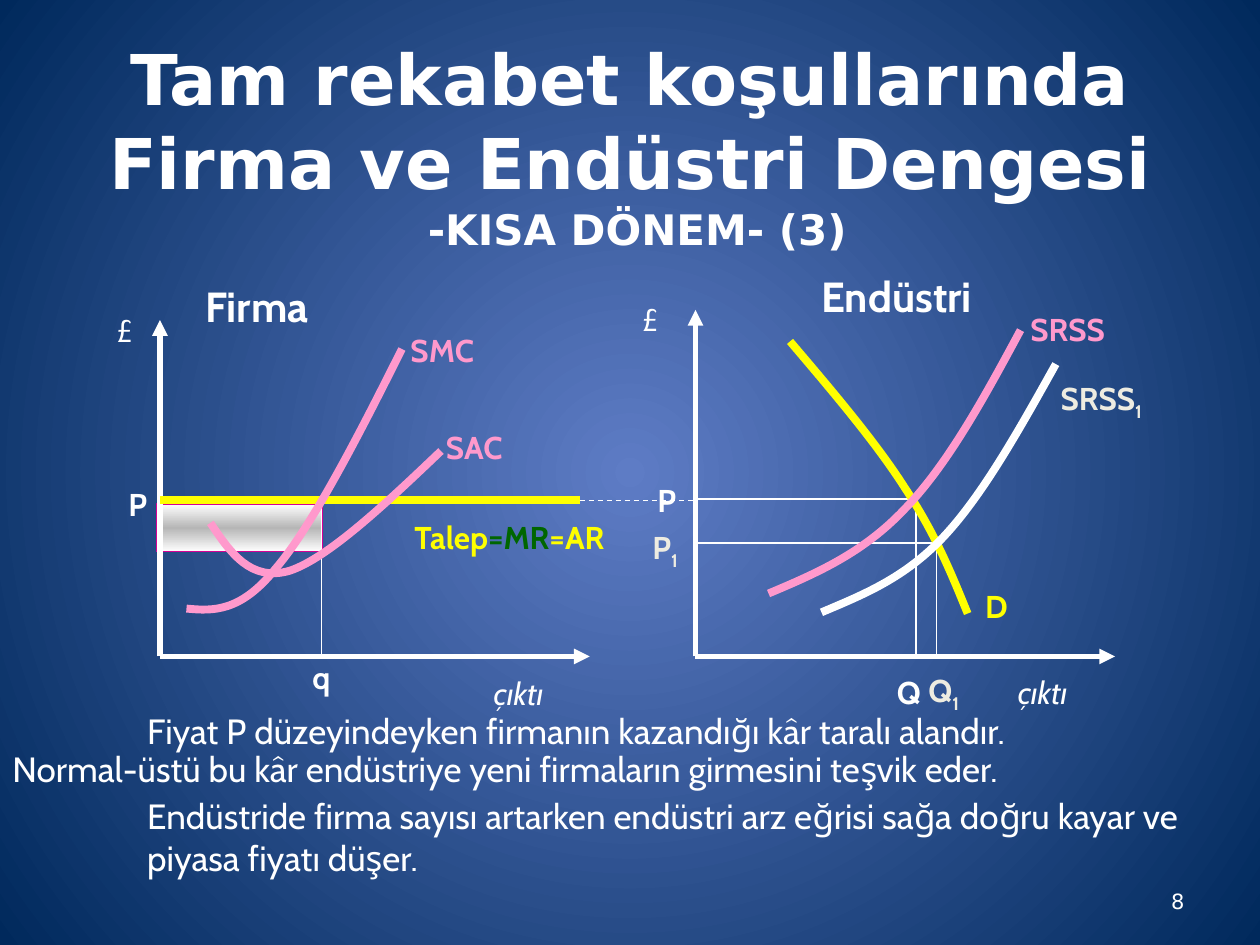
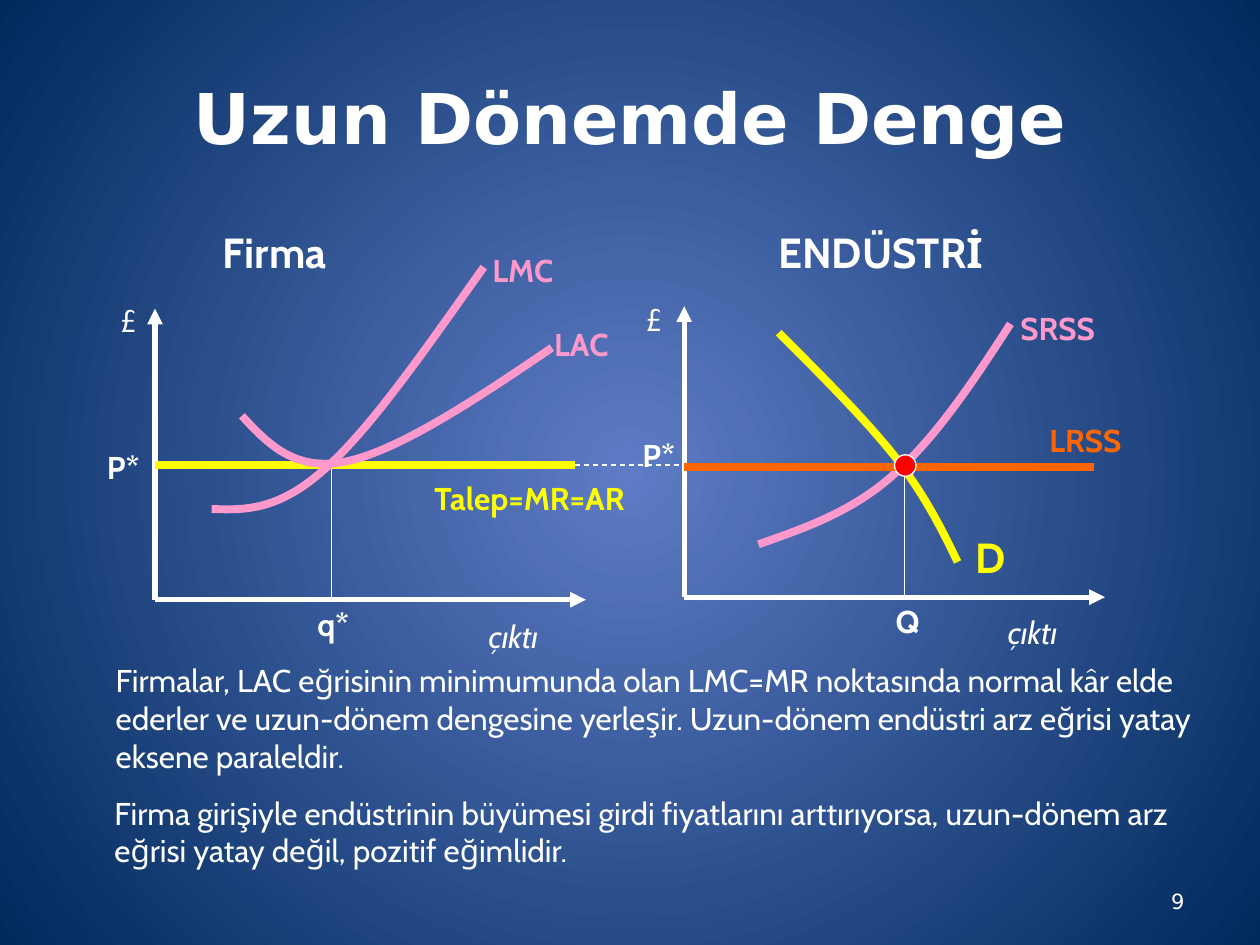
"""Build two slides on short-run and long-run equilibrium of firm and industry."""
from copy import deepcopy
from dataclasses import dataclass
from typing import Any, NamedTuple

from lxml import etree
from pptx import Presentation
from pptx.dml.color import RGBColor
from pptx.enum.dml import MSO_LINE
from pptx.enum.shapes import MSO_CONNECTOR, MSO_SHAPE
from pptx.enum.text import MSO_ANCHOR, MSO_AUTO_SIZE, PP_ALIGN
from pptx.oxml.ns import qn
from pptx.util import Inches, Pt

WHITE = RGBColor(0xFF, 0xFF, 0xFF)
CREAM = RGBColor(0xEE, 0xEC, 0xE1)
PINK = RGBColor(0xFF, 0x99, 0xCC)
YELLOW = RGBColor(0xFF, 0xFF, 0x00)
GREEN = RGBColor(0x00, 0x66, 0x00)
ORANGE = RGBColor(0xFF, 0x66, 0x00)
RED = RGBColor(0xFF, 0x00, 0x00)
MAGENTA = RGBColor(0xD6, 0x00, 0x93)
GREY = RGBColor(0xB6, 0xB6, 0xB6)
GLOW_BLUE = RGBColor(0x5E, 0x7C, 0xC5)
NIGHT_BLUE = RGBColor(0x00, 0x29, 0x5C)

STRAIGHT = MSO_CONNECTOR.STRAIGHT
RECTANGLE, OVAL = MSO_SHAPE.RECTANGLE, MSO_SHAPE.OVAL
DASH = MSO_LINE.DASH
TOP, MIDDLE = MSO_ANCHOR.TOP, MSO_ANCHOR.MIDDLE
LEFT, CENTER, RIGHT = PP_ALIGN.LEFT, PP_ALIGN.CENTER, PP_ALIGN.RIGHT
GROW, FIXED = MSO_AUTO_SIZE.SHAPE_TO_FIT_TEXT, MSO_AUTO_SIZE.NONE

BODY_FONT, TITLE_FONT = "Cabin", "DejaVu Sans"
WIDTH, HEIGHT = Inches(10), Inches(7.5)
COLUMN, ROW = WIDTH / 100, HEIGHT / 75
THIN, AXIS, THICK = 0.75, 3, 4.5
LABEL_HEIGHT, HEADING_HEIGHT = 4, 5
PAGE_FRAME = (71.7, 69.5, 23.3, 4)

Point = tuple[float, float]
Frame = tuple[float, float, float, float]


class Span(NamedTuple):
    text: str
    color: RGBColor = WHITE
    size: float = 18
    bold: bool = True
    italic: bool = False
    font: str = BODY_FONT
    subscript: bool = False


@dataclass(frozen=True)
class Label:
    left: float
    top: float
    width: float
    spans: tuple[Span, ...]
    height: float = LABEL_HEIGHT


@dataclass(frozen=True)
class Segment:
    start: Point
    end: Point
    color: RGBColor = WHITE
    weight: float = THIN
    dashed: bool = False
    arrow: bool = False


@dataclass(frozen=True)
class Curve:
    color: RGBColor
    points: tuple[Point, ...]


@dataclass(frozen=True)
class Panel:
    heading: str
    heading_at: Frame
    origin: Point
    right: float
    top: float
    pound_at: Point
    output_at: Point


@dataclass(frozen=True)
class Body:
    frame: Frame
    text: str
    size: float
    wrap: bool = True


@dataclass(frozen=True)
class Lesson:
    title_frame: Frame
    title: tuple[Span, ...]
    page: str
    panels: tuple[Panel, ...]
    segments: tuple[Segment, ...]
    curves: tuple[Curve, ...]
    labels: tuple[Label, ...]
    bodies: tuple[Body, ...]


def place(*lengths: float) -> list[int]:
    """Turn alternating columns and rows into slide units."""
    return [round(n * (ROW if i % 2 else COLUMN)) for i, n in enumerate(lengths)]


def apply(target: Any, formats: dict[str, Any]) -> None:
    """Set each format value on the target."""
    for name, value in formats.items():
        setattr(target, name, value)


def write(slide: Any, frame: Frame, spans: tuple[Span, ...], wrap: bool = False,
          align: PP_ALIGN = LEFT, anchor: MSO_ANCHOR = TOP,
          fit: MSO_AUTO_SIZE = GROW) -> None:
    """Add a text box with one paragraph, one line per newline."""
    text_frame = slide.shapes.add_textbox(*place(*frame)).text_frame
    apply(text_frame, {"word_wrap": wrap, "auto_size": fit, "vertical_anchor": anchor})
    paragraph = text_frame.paragraphs[0]
    paragraph.alignment = align
    for span in spans:
        if span.text == "\n":
            paragraph.add_line_break()
            continue
        run = paragraph.add_run()
        run.text = span.text
        apply(run.font, {"name": span.font, "size": Pt(span.size),
                         "bold": span.bold, "italic": span.italic})
        run.font.color.rgb = span.color
        if span.subscript:
            run.font._element.set("baseline", "-25000")


def stroke(shape: Any, color: RGBColor, weight: float) -> None:
    """Give a shape or connector a solid line."""
    shape.line.color.rgb = color
    shape.line.width = Pt(weight)


def draw_segment(slide: Any, segment: Segment) -> None:
    """Draw a straight line, dashed or arrowed as asked."""
    connector = slide.shapes.add_connector(STRAIGHT, *place(*segment.start, *segment.end))
    stroke(connector, segment.color, segment.weight)
    if segment.dashed:
        connector.line.dash_style = DASH
    properties = connector._element.spPr
    if segment.arrow:
        etree.SubElement(properties.find(qn("a:ln")), qn("a:tailEnd"), type="triangle")
    etree.SubElement(properties, qn("a:effectLst"))


def draw_curve(slide: Any, curve: Curve) -> None:
    """Draw an open outline of cubic Bézier pieces."""
    start, *rest = [tuple(place(*point)) for point in curve.points]
    builder = slide.shapes.build_freeform(*start)
    builder.add_line_segments(rest, close=False)
    shape = builder.convert_to_shape()
    shape.shadow.inherit = False
    shape.fill.background()
    stroke(shape, curve.color, THICK)
    steps = list(shape._element.iter(qn("a:lnTo")))
    for first in range(0, len(steps), 3):
        cubic = etree.Element(qn("a:cubicBezTo"))
        steps[first].addprevious(cubic)
        for step in steps[first:first + 3]:
            cubic.append(step[0])
            step.getparent().remove(step)


def draw_panel(slide: Any, panel: Panel) -> None:
    """Draw the heading, axes and axis names of one diagram."""
    x, y = panel.origin
    for end in ((panel.right, y), (x, panel.top)):
        draw_segment(slide, Segment(panel.origin, end, weight=AXIS, arrow=True))
    write(slide, panel.heading_at, (Span(panel.heading, size=24),))
    write(slide, (*panel.pound_at, 3.4, LABEL_HEIGHT), (Span("£", bold=False),))
    write(slide, (*panel.output_at, 6.6, LABEL_HEIGHT),
          (Span("çıktı", bold=False, italic=True),))


def add_preset(slide: Any, kind: MSO_SHAPE, frame: Frame, line: RGBColor) -> Any:
    """Add a preset shape with a thin outline."""
    shape = slide.shapes.add_shape(kind, *place(*frame))
    shape.shadow.inherit = False
    stroke(shape, line, THIN)
    return shape


def draw_profit_area(slide: Any) -> None:
    """Draw the shaded profit rectangle."""
    fill = add_preset(slide, RECTANGLE, (12.4, 40, 13.2, 3.8), MAGENTA).fill
    fill.gradient()
    fill.gradient_angle = 90
    stops = fill._xPr.find(qn("a:gradFill")).find(qn("a:gsLst"))
    stops.append(deepcopy(stops[-1]))
    for stop, position, color in zip(fill.gradient_stops, (0, 0.5, 1), (WHITE, GREY, WHITE)):
        stop.position = position
        stop.color.rgb = color


def paint_background(presentation: Any) -> None:
    """Give the master a radial gradient shared by all slides."""
    fill = presentation.slide_master.background.fill
    fill.gradient()
    for stop, color in zip(fill.gradient_stops, (GLOW_BLUE, NIGHT_BLUE)):
        stop.color.rgb = color
    gradient = fill._xPr.find(qn("a:gradFill"))
    gradient.remove(gradient.find(qn("a:lin")))
    radial = etree.SubElement(gradient, qn("a:path"), {"path": "circle"})
    etree.SubElement(radial, qn("a:fillToRect"), dict.fromkeys("ltrb", "50000"))


def draw_lesson(slide: Any, lesson: Lesson) -> None:
    """Draw everything a lesson describes, back to front."""
    for panel in lesson.panels:
        draw_panel(slide, panel)
    for segment in lesson.segments:
        draw_segment(slide, segment)
    for curve in lesson.curves:
        draw_curve(slide, curve)
    for label in lesson.labels:
        write(slide, (label.left, label.top, label.width, label.height), label.spans)
    for body in lesson.bodies:
        write(slide, body.frame, (Span(body.text, size=body.size, bold=False),), body.wrap)
    write(slide, lesson.title_frame, lesson.title, True, CENTER, MIDDLE, FIXED)
    write(slide, PAGE_FRAME, (Span(lesson.page, size=12, bold=False, font=TITLE_FONT),),
          True, RIGHT, MIDDLE, FIXED)


def title(text: str, size: float = 40) -> Span:
    """Make a span in the title style."""
    return Span(text, size=size, font=TITLE_FONT)


def indexed(letter: str) -> tuple[Span, ...]:
    """Make a cream name with subscript one."""
    return Span(letter, CREAM), Span("1", CREAM, subscript=True)


SHORT_RUN = Lesson(
    (7.5, 5.2, 85, 12.5),
    (title("Tam rekabet koşullarında Firma ve Endüstri Dengesi"), Span("\n"),
     title(" -KISA DÖNEM- (3)", 24)), "8",
    (Panel("Firma", (15.3, 21.8, 11.1, HEADING_HEIGHT), (12.7, 52.1), 46.8, 25.4, (8.3, 24.2), (38.2, 53)),
     Panel("Endüstri", (64.2, 21, 16.1, HEADING_HEIGHT), (55.2, 52.1), 88.5, 24.6, (50, 23.3), (79.8, 52.9))),
    (Segment((72.7, 40.4), (72.7, 52.1)), Segment((72.7, 39.6), (55.2, 39.6)),
     Segment((74.2, 43.1), (55, 43.1)), Segment((74.3, 43.6), (74.3, 51.9)),
     Segment((12.7, 39.7), (46, 39.7), YELLOW, THICK),
     Segment((46, 39.7), (55.2, 39.7), dashed=True), Segment((25.5, 39.6), (25.5, 52.1))),
    (Curve(YELLOW, ((62.7, 27.1), (66.1, 31.1), (69.5, 35.1), (71.8, 38.7), (74.2, 42.3), (75.5, 45.5), (76.8, 48.7))),
     Curve(PINK, ((61, 47.1), (64.8, 45.5), (68.5, 43.9), (71.8, 40.4), (75.2, 36.9), (78.1, 31.6), (81, 26.2))),
     Curve(WHITE, ((65.2, 48.6), (68.5, 47.2), (71.8, 45.9), (74.9, 42.6), (78, 39.3), (80.9, 34.1), (83.8, 28.9))),
     Curve(PINK, ((16.7, 41.5), (18.3, 43.9), (19.9, 46.2), (23, 45.3), (26, 44.3), (30.5, 40.1), (35, 35.8))),
     Curve(PINK, ((14.8, 48.3), (16.9, 48.5), (19.1, 48.6), (21.9, 45.1), (24.8, 41.7), (28.4, 34.7), (31.9, 27.7)))),
    (Label(70.2, 52.9, 4, (Span("Q"),)), Label(72.7, 52.8, 4.9, indexed("Q")),
     Label(51.2, 37.7, 3.7, (Span("P"),)), Label(50.8, 41.4, 4.6, indexed("P")),
     Label(80.8, 24.1, 8.8, (Span("SRSS", PINK),)), Label(83.2, 29.6, 9.7, indexed("SRSS")),
     Label(77.2, 46.1, 3.9, (Span("D", YELLOW),)), Label(34.4, 33.5, 7.3, (Span("SAC", PINK),)),
     Label(31.6, 25.8, 7.6, (Span("SMC", PINK),)), Label(9.2, 38, 3.7, (Span("P"),)),
     Label(31.9, 40.6, 20.7, (Span("Talep", YELLOW), Span("=MR", GREEN), Span("=AR", YELLOW))),
     Label(23.8, 51.7, 3.5, (Span("q"),))),
    (Body((10.7, 55.8, 74.4, 4.4), "Fiyat P düzeyindeyken firmanın kazandığı kâr taralı alandır.", 20, False),
     Body((0, 58.8, 85.1, 4.4), "Normal-üstü bu kâr endüstriye yeni firmaların girmesini teşvik eder.", 20, False),
     Body((10.7, 62.6, 85.8, 7.7), "Endüstride firma sayısı artarken endüstri arz eğrisi sağa doğru "
          "kayar ve piyasa fiyatı düşer.", 20)))

LONG_RUN = Lesson(
    (5, 3, 90, 12.5), (title("Uzun Dönemde Denge"),), "9",
    (Panel("Firma", (16.7, 17.5, 11.1, HEADING_HEIGHT), (12.3, 47.6), 46.5, 24.5, (8.6, 23.4), (37.8, 48.5)),
     Panel("ENDÜSTRİ", (60.8, 17.5, 19.1, HEADING_HEIGHT), (54.3, 47.4), 87.7, 24.3, (50.3, 23.3), (79, 48.2))),
    (Segment((45.6, 36.9), (54.8, 36.9), dashed=True), Segment((12.3, 36.9), (45.6, 36.9), YELLOW, THICK),
     Segment((26.3, 36.8), (26.3, 47.6)), Segment((71.8, 37.6), (71.8, 47.4)),
     Segment((71.8, 36.9), (54.3, 36.9))),
    (Curve(PINK, ((19.2, 33), (21.3, 35.3), (23.5, 37.5), (27.6, 36.6), (31.7, 35.7), (37.8, 31.7), (43.8, 27.6))),
     Curve(PINK, ((16.8, 40.4), (19.5, 40.5), (22.1, 40.5), (25.7, 37.3), (29.3, 34.2), (33.8, 27.7), (38.4, 21.2))),
     Curve(YELLOW, ((61.8, 26.4), (65.2, 29.8), (68.6, 33.2), (71, 36.2), (73.4, 39.3), (74.7, 41.9), (76, 44.6))),
     Curve(PINK, ((60.2, 43.2), (63.9, 41.9), (67.7, 40.6), (71, 37.6), (74.3, 34.7), (77.3, 30.2), (80.2, 25.7)))),
    (Label(43, 25.3, 7.2, (Span("LAC", PINK),)), Label(38.1, 19.4, 7.4, (Span("LMC", PINK),)),
     Label(7.5, 35.1, 4.7, (Span("P*"),)), Label(50, 34.1, 4.7, (Span("P*"),)),
     Label(33.5, 37.5, 20.7, (Span("Talep=MR=AR", YELLOW),)), Label(24.2, 47.5, 4.5, (Span("q*"),)),
     Label(80, 24, 8.8, (Span("SRSS", PINK),)), Label(82.3, 32.9, 8.7, (Span("LRSS", ORANGE),)),
     Label(76.4, 41.7, 4.6, (Span("D", YELLOW, 24),), HEADING_HEIGHT), Label(70.1, 47.3, 4, (Span("Q"),))),
    (Body((8.2, 52, 91.8, 10), "Firmalar, LAC eğrisinin minimumunda olan LMC=MR noktasında normal kâr elde ederler "
          "ve uzun-dönem dengesine yerleşir. Uzun-dönem endüstri arz eğrisi yatay eksene paraleldir.", 18),
     Body((8.1, 62.5, 89.9, 7), "Firma girişiyle endüstrinin büyümesi girdi fiyatlarını arttırıyorsa, uzun-dönem "
          "arz eğrisi yatay değil, pozitif eğimlidir.", 18)))


def main() -> None:
    """Build and save the presentation."""
    presentation = Presentation()
    apply(presentation, {"slide_width": WIDTH, "slide_height": HEIGHT})
    paint_background(presentation)
    blank = presentation.slide_layouts[6]
    short_run, long_run = (presentation.slides.add_slide(blank) for _ in range(2))
    draw_profit_area(short_run)
    draw_lesson(short_run, SHORT_RUN)
    draw_lesson(long_run, LONG_RUN)
    draw_segment(long_run, Segment((54.3, 37.1), (86.8, 37.1), ORANGE, THICK))
    equilibrium = add_preset(long_run, OVAL, (71, 36.1, 1.7, 1.7), WHITE)
    equilibrium.fill.solid()
    equilibrium.fill.fore_color.rgb = RED
    presentation.save("out.pptx")


if __name__ == "__main__":
    main()
